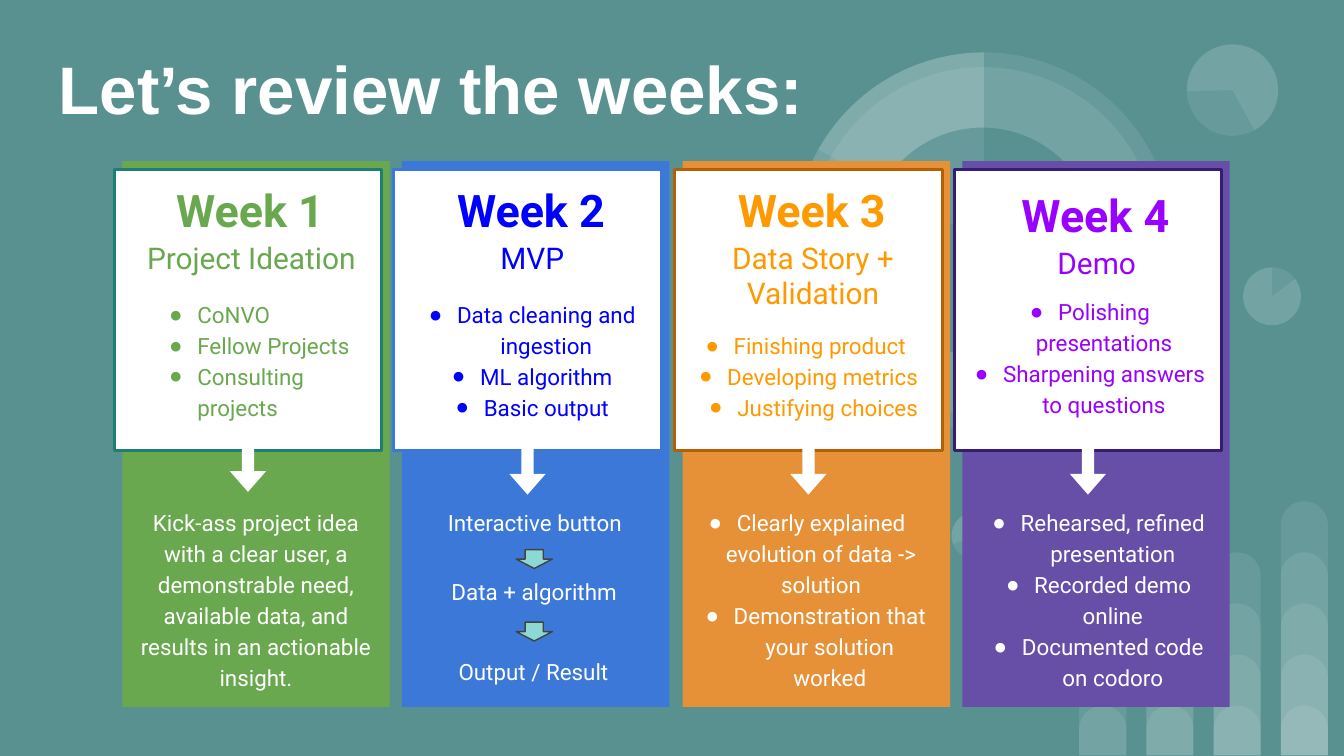
from dataclasses import dataclass
from typing import Any, NamedTuple, Optional

from lxml.etree import SubElement
from pptx import Presentation
from pptx.dml.color import RGBColor
from pptx.enum.shapes import MSO_SHAPE
from pptx.enum.text import MSO_ANCHOR, PP_ALIGN
from pptx.oxml.ns import qn
from pptx.util import Emu, Pt

PX = 9144  # EMU, 100 px to the inch
WHITE, TEAL = "FFFFFF", "599191"
CENTER, RIGHT, LEFT = PP_ALIGN.CENTER, PP_ALIGN.RIGHT, PP_ALIGN.LEFT


class Box(NamedTuple):
    left: int
    top: int
    width: int
    height: int

    def emu(self) -> list[Emu]:
        return [Emu(length * PX) for length in self]


class Para(NamedTuple):
    text: str
    align: PP_ALIGN = CENTER
    indent: Optional[int] = None  # bulleted when given
    spacing: float = 1.15


class TextBlock(NamedTuple):
    box: Box
    paras: list[Para]


class Disc(NamedTuple):
    box: Box
    rotation: float = 0
    slice_ends: tuple[float, ...] = ()  # a whole disc when empty
    color: str = WHITE
    opacity: int = 9


@dataclass
class Week:
    title: str
    subtitle: str
    panel_left: int
    title_left: int
    panel_color: str
    border_color: str
    text_color: str
    plan: TextBlock
    outcomes: list[TextBlock]
    title_top: int = 126
    arrow_length: int = 39


def rgb(color: str) -> RGBColor:
    return RGBColor.from_string(color)


def set_all(target: Any, values: dict[str, Any]) -> None:
    for name, value in values.items():
        setattr(target, name, value)


def add_figure(slide, kind: MSO_SHAPE, box: Box, color: str, border: Optional[str] = None,
               border_width: float = 1.5, rotation: float = 0, opacity: int = 100,
               adjustments: tuple[float, ...] = ()) -> None:
    figure = slide.shapes.add_shape(kind, *box.emu())
    figure.shadow.inherit = False
    figure.rotation = rotation
    figure.fill.solid()
    figure.fill.fore_color.rgb = rgb(color)
    if opacity < 100:
        tint = figure.fill._xPr.find(".//" + qn("a:srgbClr"))
        SubElement(tint, qn("a:alpha"), val=str(opacity * 1000))
    if border:
        figure.line.color.rgb = rgb(border)
        figure.line.width = Pt(border_width)
    else:
        figure.line.fill.background()
    for index, value in enumerate(adjustments):
        figure.adjustments[index] = value


def add_bullet(paragraph, indent: int, color: str) -> None:
    properties = paragraph._p.get_or_add_pPr()
    properties.set("marL", str(indent * PX))
    properties.set("indent", str(-21 * PX))
    bullet_color = SubElement(properties, qn("a:buClr"))
    SubElement(bullet_color, qn("a:srgbClr"), val=color)
    SubElement(properties, qn("a:buFont"), typeface="Arial")
    SubElement(properties, qn("a:buChar"), char="●")


def add_text(slide, block: TextBlock, color: str, size: int = 12, bold: bool = False,
             font: str = "Roboto", anchor: MSO_ANCHOR = MSO_ANCHOR.TOP) -> None:
    frame = slide.shapes.add_textbox(*block.box.emu()).text_frame
    margins = {f"margin_{side}": Emu(10 * PX) for side in ("left", "top", "right", "bottom")}
    set_all(frame, {"word_wrap": True, "vertical_anchor": anchor, **margins})
    for index, para in enumerate(block.paras):
        paragraph = frame.add_paragraph() if index else frame.paragraphs[0]
        set_all(paragraph, {"alignment": para.align, "line_spacing": para.spacing})
        if para.indent is not None:
            add_bullet(paragraph, para.indent, color)
        run = paragraph.add_run()
        run.text = para.text
        set_all(run.font, {"name": font, "size": Pt(size), "bold": bold})
        run.font.color.rgb = rgb(color)


def add_background_bars(slide) -> None:
    for column in range(4):
        for level in range(1, column + 3):
            box = Box(803 + 50 * column, 563 - 38 * level, 35, 38 * level - 1)
            add_figure(slide, MSO_SHAPE.ROUND_2_SAME_RECTANGLE, box, WHITE, opacity=9,
                       adjustments=(0.5, 0))


def add_disc(slide, disc: Disc) -> None:
    kind = MSO_SHAPE.PIE if disc.slice_ends else MSO_SHAPE.OVAL
    add_figure(slide, kind, disc.box, disc.color, rotation=disc.rotation,
               opacity=disc.opacity, adjustments=disc.slice_ends)


def add_week(slide, week: Week) -> None:
    left, top = week.panel_left, week.title_top
    add_figure(slide, MSO_SHAPE.RECTANGLE, Box(left, 120, 199, 406), week.panel_color)
    add_figure(slide, MSO_SHAPE.RECTANGLE, Box(left - 6, 126, 199, 209), WHITE, week.border_color)
    arrow = Box(left + 93 - week.arrow_length // 2, 335, week.arrow_length, 27)
    add_figure(slide, MSO_SHAPE.RIGHT_ARROW, arrow, WHITE, rotation=90, adjustments=(0.34, 0.57))
    title = TextBlock(Box(week.title_left, top, 178, 44), [Para(week.title, spacing=1.0)])
    add_text(slide, title, week.text_color, size=24, bold=True)
    subtitle = TextBlock(Box(week.title_left + 1, top + 42, 178, 39),
                         [Para(week.subtitle, spacing=1.0)])
    add_text(slide, subtitle, week.text_color, size=16)
    add_text(slide, week.plan, week.text_color)
    for outcome in week.outcomes:
        add_text(slide, outcome, WHITE)


RING, SMALL, LARGE, FAINT = (Box(591, 39, 282, 282), Box(925, 199, 43, 43),
                             Box(883, 33, 68, 68), Box(708, 381, 35, 35))
DISCS = [
    Disc(SMALL),
    Disc(FAINT, 196.2),
    Disc(SMALL, 0, (193.77, 162)),
    Disc(LARGE, 215.9),
    Disc(LARGE, 215.9, (193.77, 123.14)),
    Disc(RING),
    Disc(Box(602, 50, 259, 259), 34.1),
    Disc(RING, 0, (88.01, 162)),
    Disc(Box(646, 95, 170, 170), 34.1, color=TEAL, opacity=100),
    Disc(RING, 0, (125.54, 162)),
    Disc(FAINT, 196.2, (193.77, 162)),
]

WEEKS = [
    Week("Week 1", "Project Ideation", 91, 97, "6AA84F", "1D7E74", "6AA84F",
         TextBlock(Box(99, 211, 178, 108), [
             Para("CoNVO", LEFT, 38),
             Para("Fellow Projects", LEFT, 38),
             Para("Consulting projects", LEFT, 38)]),
         [TextBlock(Box(91, 366, 199, 160), [
             Para("Kick-ass project idea with a clear user, a demonstrable need, "
                  "available data, and results in an actionable insight.")])],
         arrow_length=35),
    Week("Week 2", "MVP", 299, 306, "3C78D8", "3C78D8", "0000FF",
         TextBlock(Box(308, 211, 178, 108), [
             Para("Data cleaning and ingestion", indent=19),
             Para("ML algorithm", indent=19),
             Para("Basic output", indent=19)]),
         [TextBlock(Box(309, 366, 178, 39), [Para("Interactive button")]),
          TextBlock(Box(298, 417, 199, 39), [Para("Data + algorithm")]),
          TextBlock(Box(311, 477, 172, 35), [Para("Output / Result")])]),
    Week("Week 3", "Data Story + Validation", 508, 515, "E69138", "B45F06", "FF9900",
         TextBlock(Box(502, 234, 191, 97), [
             Para("Finishing product", indent=25),
             Para("Developing metrics", RIGHT, 25),
             Para("Justifying choices", RIGHT, 25)]),
         [TextBlock(Box(507, 366, 196, 133), [
             Para("Clearly explained evolution of data -> solution", indent=12),
             Para("Demonstration that your solution worked", indent=25)])]),
    Week("Week 4", "Demo", 716, 726, "674EA7", "351C75", "9900FF",
         TextBlock(Box(710, 209, 204, 113), [
             Para("Polishing presentations", indent=19),
             Para("Sharpening answers to questions", indent=19)]),
         [TextBlock(Box(716, 366, 199, 133), [
             Para("Rehearsed, refined presentation", indent=25),
             Para("Recorded demo online", indent=25),
             Para("Documented code on codoro", indent=25)])],
         title_top=130),
]


def main() -> None:
    deck = Presentation()
    set_all(deck, {"slide_width": Emu(1000 * PX), "slide_height": Emu(1000 * PX * 9 // 16)})
    slide = deck.slides.add_slide(deck.slide_layouts[6])
    slide.background.fill.solid()
    slide.background.fill.fore_color.rgb = rgb(TEAL)

    add_background_bars(slide)
    for disc in DISCS:
        add_disc(slide, disc)
    headline = TextBlock(Box(34, 28, 739, 75), [Para("Let’s review the weeks:", LEFT, spacing=1.0)])
    add_text(slide, headline, WHITE, size=36, bold=True, font="Arial", anchor=MSO_ANCHOR.MIDDLE)
    for week in WEEKS:
        add_week(slide, week)
    for step_top in (409, 463):
        add_figure(slide, MSO_SHAPE.DOWN_ARROW, Box(384, step_top, 27, 14), "8DD8D3", "424242", 0.75)
    deck.save("out.pptx")


if __name__ == "__main__":
    main()
